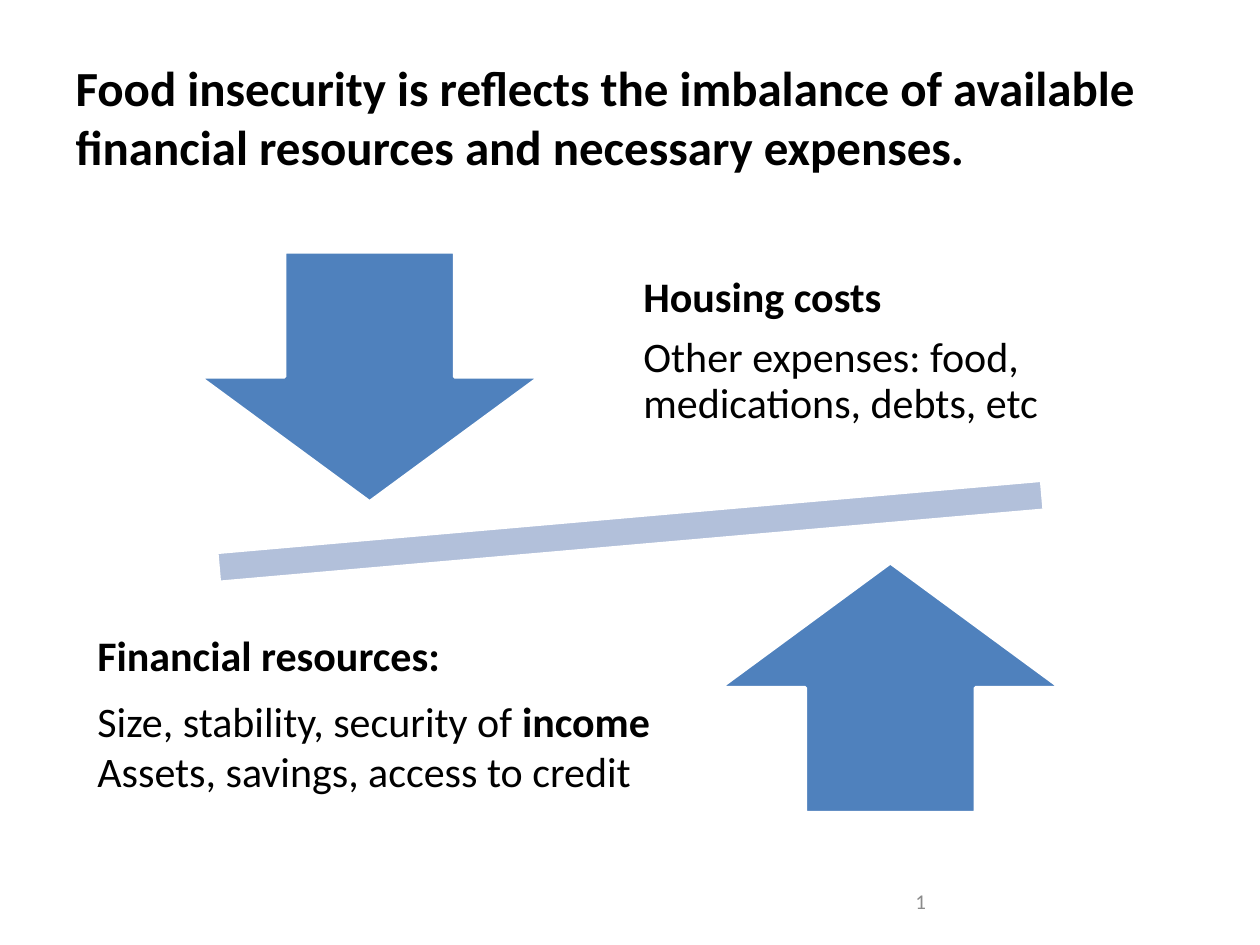
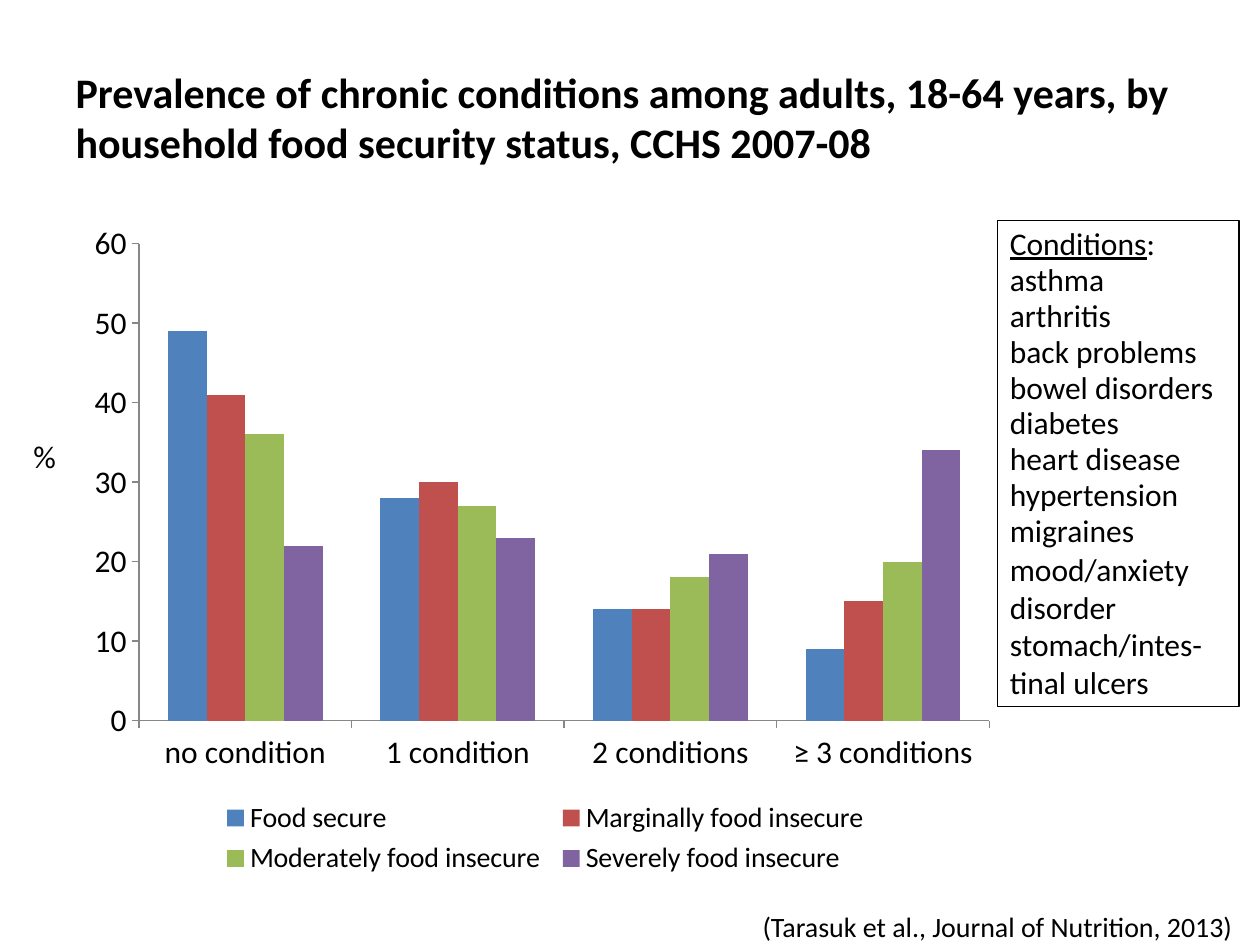
from lxml import etree
from pptx import Presentation
from pptx import util as u
from pptx.chart.data import CategoryChartData
from pptx.dml.color import RGBColor
from pptx.enum import chart as charts, shapes, text
from pptx.oxml import parse_xml

COLORS = {name: RGBColor.from_string(value) for name, value in {
    "black": "000000", "white": "FFFFFF", "gray": "8B8B8B", "axis": "878787",
    "beam": "B2C0DA", "blue": "4F81BD", "red": "C0504D", "green": "9BBB59",
    "purple": "8064A2"}.items()}
FONT = "Calibri"
CHART_NS = "http://schemas.openxmlformats.org/drawingml/2006/chart"

deck = Presentation()
deck.slide_width, deck.slide_height = u.Inches(10), u.Inches(7.5)
CELL = deck.slide_width / 120  # grid of 120 columns and 90 rows


def grid(*cells):
    return [u.Emu(round(cell * CELL)) for cell in cells]


def write(box, paragraphs, size, color="black", margins=(0.1, 0.05),
          anchor=text.MSO_ANCHOR.TOP):
    """Fill a box; each paragraph is a list of (text, style) spans, where style is "", "b" or "u"."""
    frame = box.text_frame
    frame.word_wrap = True
    frame.vertical_anchor = anchor
    frame.margin_left = frame.margin_right = u.Inches(margins[0])
    frame.margin_top = frame.margin_bottom = u.Inches(margins[1])
    for index, spans in enumerate(paragraphs):
        para = frame.add_paragraph() if index else frame.paragraphs[0]
        para.alignment = text.PP_ALIGN.LEFT
        para.font.name, para.font.size = FONT, u.Pt(size)
        para.font.color.rgb = COLORS[color]
        for words, style in spans:
            span = para.add_run()
            span.text = words
            if style == "b":
                span.font.bold = True
            elif style == "u":
                span.font.underline = True
    return frame.paragraphs


# Slides and their titles
pages = []
for heading, size in [
    ("Food insecurity is reflects the imbalance of available financial resources "
     "and necessary expenses.", 28),
    ("Prevalence of chronic conditions among adults, 18-64 years, by household "
     "food security status, CCHS 2007-08", 24),
]:
    page = deck.slides.add_slide(deck.slide_layouts[5])
    title = page.shapes.title
    title.left, title.top, title.width, title.height = grid(6, 3.6, 108, 15)
    write(title, [[(heading, "b")]], size, anchor=text.MSO_ANCHOR.MIDDLE)
    pages.append(page)
balance, prevalence = pages

# Slide 1: the tilted balance
for preset, cells, color, angle, adjustment in [
    (shapes.MSO_SHAPE.MATH_MINUS, (6.4, 44.5, 107.3, 12.2), "beam", 355, 0.235),
    (shapes.MSO_SHAPE.DOWN_ARROW, (19, 24, 32.4, 23.8), "blue", 0, 0.5),
    (shapes.MSO_SHAPE.UP_ARROW, (68.6, 53.6, 32.4, 23.8), "blue", 0, 0.5),
]:
    part = balance.shapes.add_shape(preset, *grid(*cells))
    part.shadow.inherit = False
    part.rotation = angle
    part.adjustments[0] = adjustment
    part.fill.solid()
    part.fill.fore_color.rgb = COLORS[color]
    part.line.color.rgb = COLORS["white"]
    part.line.width = u.Pt(2)

middle = text.MSO_ANCHOR.MIDDLE
costs = write(balance.shapes.add_textbox(*grid(59, 21, 43, 25)), [
    [("Housing costs", "b")],
    [("Other expenses: food, medications, debts, etc", "")],
], 24, margins=(0.19, 0.19), anchor=middle)
resources = write(balance.shapes.add_textbox(*grid(7, 55.4, 65, 25)), [
    [("Financial resources:", "b")],
    [("Size, stability, security of ", ""), ("income", "b")],
    [("Assets, savings, access to credit", "")],
], 24, margins=(0.19, 0.19), anchor=middle)
for para in costs:
    para.line_spacing = 0.9
for para in (*costs, resources[0]):
    para.space_after = u.Pt(8.4)
write(balance.shapes.add_textbox(*grid(86, 83.4, 28, 4.8)), [[("1", "")]], 12,
      color="gray", anchor=middle)

# Slide 2: the chart
data = CategoryChartData()
data.categories = ["no condition", "1 condition", "2 conditions", "≥ 3 conditions"]
data.add_series("Food secure", (49, 28, 14, 9))
data.add_series("Marginally food insecure", (41, 30, 14, 15))
data.add_series("Moderately food insecure", (36, 27, 18, 20))
data.add_series("Severely food insecure", (22, 23, 21, 34))
chart = prevalence.shapes.add_chart(
    charts.XL_CHART_TYPE.COLUMN_CLUSTERED, *grid(7, 20, 89, 64), data).chart
chart.has_title = False
chart.font.name, chart.font.size = "Arial", u.Pt(10)
chart.has_legend = True
chart.legend.position = charts.XL_LEGEND_POSITION.BOTTOM
chart.legend.include_in_layout = False

plot = chart.plots[0]
plot.gap_width, plot.overlap = 150, 0
plot.vary_by_categories = False
for series, color in zip(plot.series, ("blue", "red", "green", "purple")):
    series.format.fill.solid()
    series.format.fill.fore_color.rgb = COLORS[color]

chart.value_axis.minimum_scale, chart.value_axis.maximum_scale = 0, 60
chart.value_axis.major_unit = 10
for axis in (chart.category_axis, chart.value_axis):
    axis.has_major_gridlines = False
    axis.major_tick_mark = charts.XL_TICK_MARK.OUTSIDE
    axis.format.line.color.rgb = COLORS["axis"]
    axis.format.line.width = u.Pt(0.75)
for font, size in ((chart.category_axis.tick_labels.font, 18),
                   (chart.value_axis.tick_labels.font, 18), (chart.legend.font, 16)):
    font.name, font.size = FONT, u.Pt(size)
    font.color.rgb = COLORS["black"]

# Fixed places for plot and legend, as shares of the chart
for tag, position, target, shares in [
    ("plotArea", 0, '<c:layoutTarget val="inner"/>', (0.07, 0.05, 0.91, 0.71)),
    ("legend", 1, "", (0.15, 0.87, 0.71, 0.13)),
]:
    holder = chart.element.find(f".//{{{CHART_NS}}}{tag}")
    for old in holder.findall(f"{{{CHART_NS}}}layout"):
        holder.remove(old)
    modes = '<c:xMode val="edge"/><c:yMode val="edge"/>'
    sizes = "".join(f'<c:{side} val="{share}"/>' for side, share in zip("xywh", shares))
    holder.insert(position, parse_xml(
        f'<c:layout xmlns:c="{CHART_NS}"><c:manualLayout>{target}{modes}{sizes}'
        "</c:manualLayout></c:layout>"))

# Slide 2: list of conditions, unit and citation
conditions = prevalence.shapes.add_shape(
    shapes.MSO_SHAPE.RECTANGLE, *grid(95, 21, 23, 46.3))
conditions.shadow.inherit = False
conditions.fill.background()
conditions.line.color.rgb = COLORS["black"]
conditions.line.width = u.Pt(0.75)
names = ["asthma", "arthritis", "back problems bowel disorders diabetes",
         "heart disease hypertension", "migraines", "mood/anxiety disorder",
         "stomach/intes-tinal ulcers"]
listed = write(conditions, [[("Conditions", "u"), (":", "")],
                            *([(name, "")] for name in names)], 18)
for para in listed[:-2]:
    para.line_spacing = 0.95

write(prevalence.shapes.add_textbox(*grid(2, 41, 5, 4.8)), [[("%", "")]], 18)
citation = write(prevalence.shapes.add_textbox(*grid(64, 86, 62, 4.4)),
                 [[("(Tarasuk et al., Journal of Nutrition, 2013)", "")]], 16)
citation[0].alignment = text.PP_ALIGN.CENTER
citation[0].space_before = u.Pt(8)

deck.save("out.pptx")
